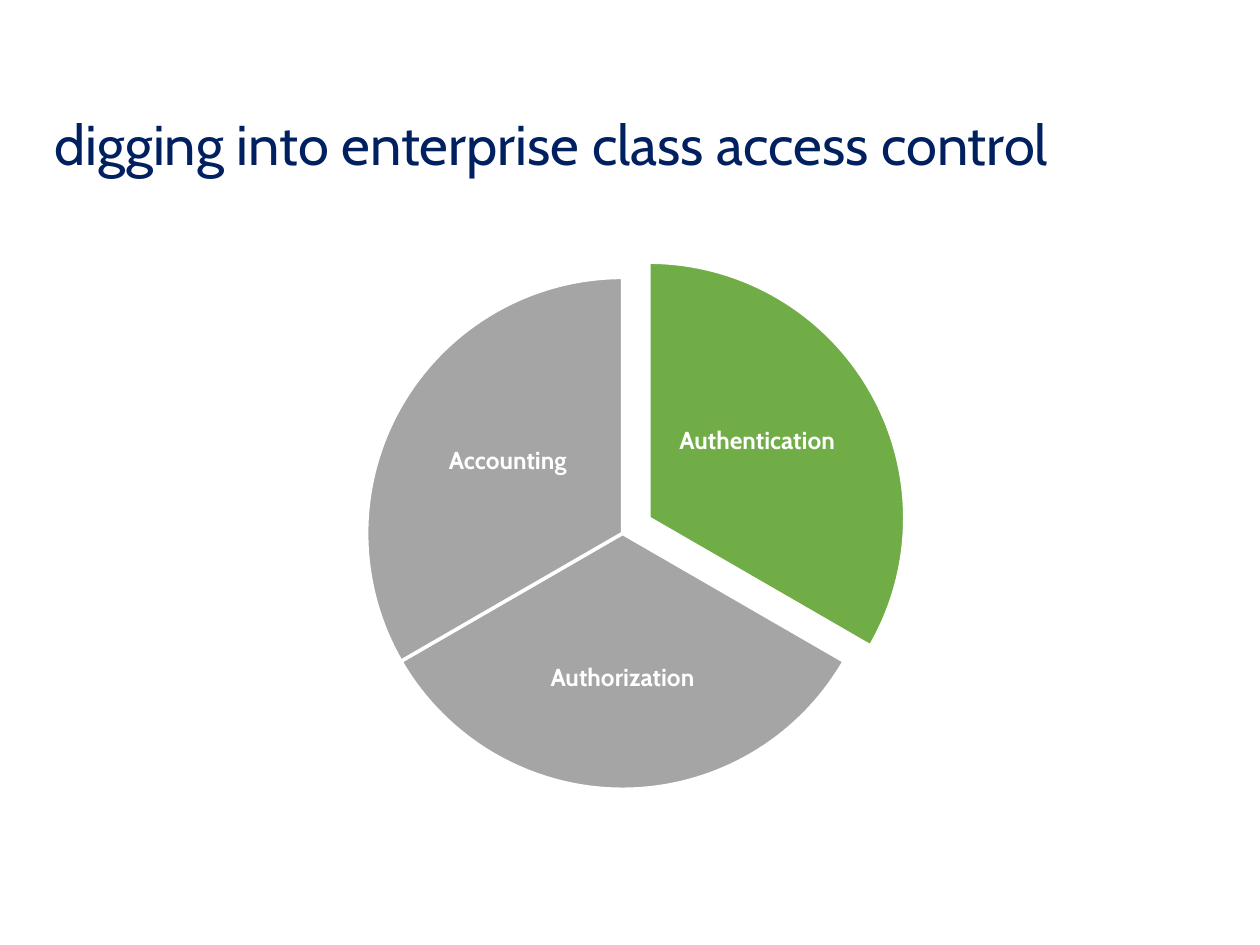
from pptx import Presentation
from pptx.dml.color import RGBColor
from pptx.enum.shapes import MSO_SHAPE
from pptx.enum.text import MSO_ANCHOR, PP_ALIGN
from pptx.util import Pt

NAVY = RGBColor(0x00, 0x20, 0x60)
GREEN = RGBColor(0x70, 0xAD, 0x47)
GRAY = RGBColor(0xA5, 0xA5, 0xA5)
WHITE = RGBColor(0xFF, 0xFF, 0xFF)

TITLE = "digging into enterprise class access control"
TITLE_BOX = (24, 66, 678, 36)
TITLE_FONT = {"name": "Cabin", "size": Pt(32), "bold": False}
LABEL_FONT = {"name": "Cabin", "size": Pt(14), "bold": True}
LABEL_MARGINS = {"margin_left": 0, "margin_right": 0,
                 "margin_top": Pt(1.5), "margin_bottom": Pt(1.5)}

PIE_LEFT, PIE_TOP, PIE_SIZE = 209.5, 158.5, 292.5
FIRST_ANGLE = 270
# label, fill, offset from the pie, label box
SLICES = [
    ("Authentication", GREEN, (15, -8.7), (383, 204, 99.5, 97)),
    ("Authorization", GRAY, (0, 0), (289.5, 342.5, 132.5, 91)),
    ("Accounting", GRAY, (0, 0), (240.5, 215.5, 99.5, 97)),
]


def set_all(obj, values):
    """Set each attribute in values on obj."""
    for name, value in values.items():
        setattr(obj, name, value)


def add_text(s, text, box, font, color, align, margins=None):
    """Add a one-paragraph text box, centred vertically."""
    tf = s.shapes.add_textbox(*map(Pt, box)).text_frame
    set_all(tf, {"word_wrap": True, "vertical_anchor": MSO_ANCHOR.MIDDLE,
                 **(margins or {})})
    p = tf.paragraphs[0]
    set_all(p, {"alignment": align, "line_spacing": 0.9})
    r = p.add_run()
    r.text = text
    set_all(r.font, font)
    r.font.color.rgb = color


def add_slice(s, index, fill, offset):
    """Add one equal slice of the pie, shifted by offset."""
    dx, dy = offset
    sp = s.shapes.add_shape(MSO_SHAPE.PIE, Pt(PIE_LEFT + dx), Pt(PIE_TOP + dy),
                            Pt(PIE_SIZE), Pt(PIE_SIZE))
    step = 360 / len(SLICES)
    for i in range(2):
        angle = (FIRST_ANGLE + (index + i) * step) % 360
        sp.adjustments[i] = angle * 0.6  # 60000 units per degree, scaled by 100000
    sp.shadow.inherit = False
    sp.fill.solid()
    sp.fill.fore_color.rgb = fill
    sp.line.color.rgb = WHITE
    sp.line.width = Pt(2)


def main():
    """Build and save the slide."""
    prs = Presentation()
    prs.slide_width, prs.slide_height = Pt(720), Pt(540)
    s = prs.slides.add_slide(prs.slide_layouts[6])
    add_text(s, TITLE, TITLE_BOX, TITLE_FONT, NAVY, PP_ALIGN.LEFT)
    for i, (label, fill, offset, box) in enumerate(SLICES):
        add_slice(s, i, fill, offset)
        add_text(s, label, box, LABEL_FONT, WHITE, PP_ALIGN.CENTER, LABEL_MARGINS)
    prs.save("out.pptx")


main()
